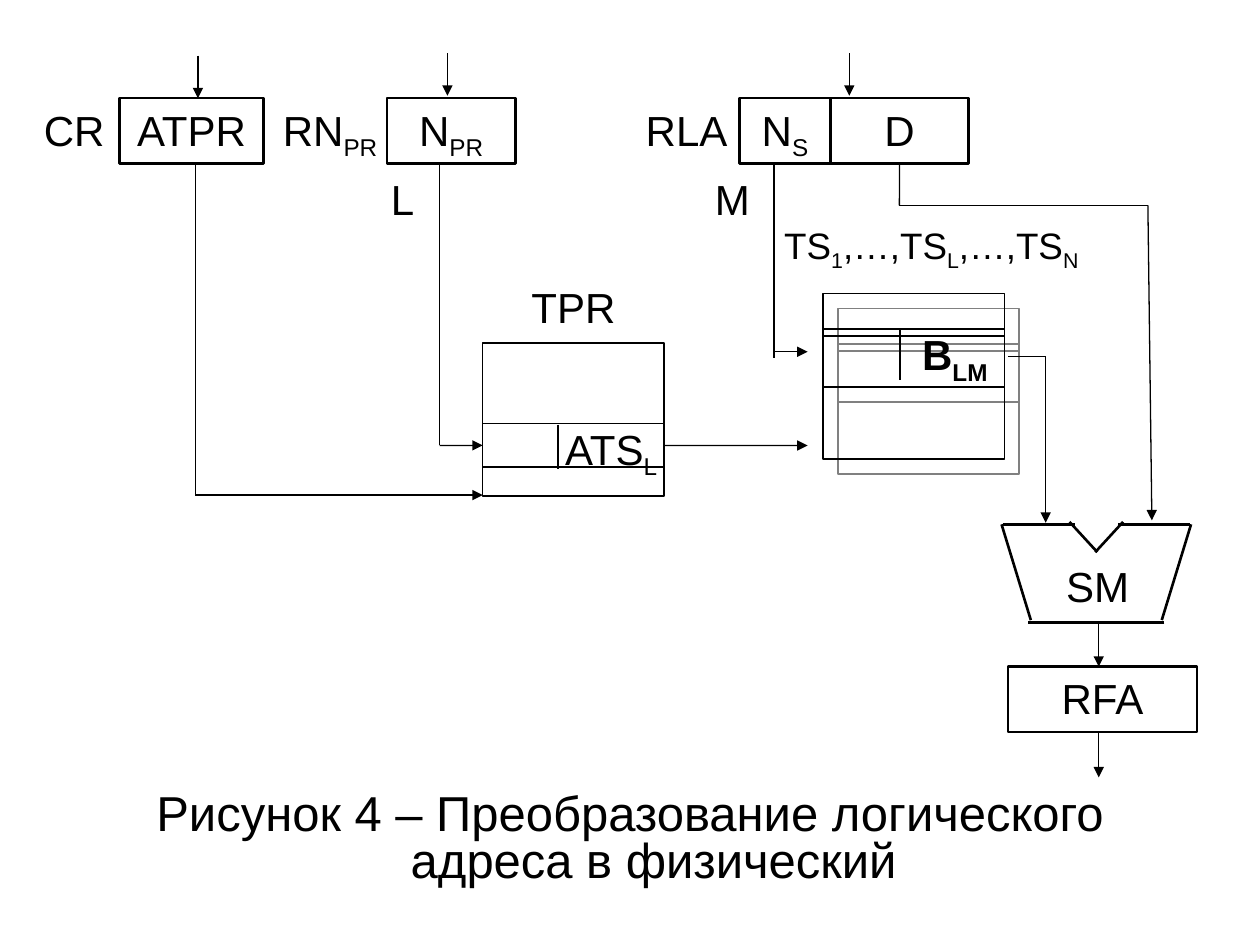
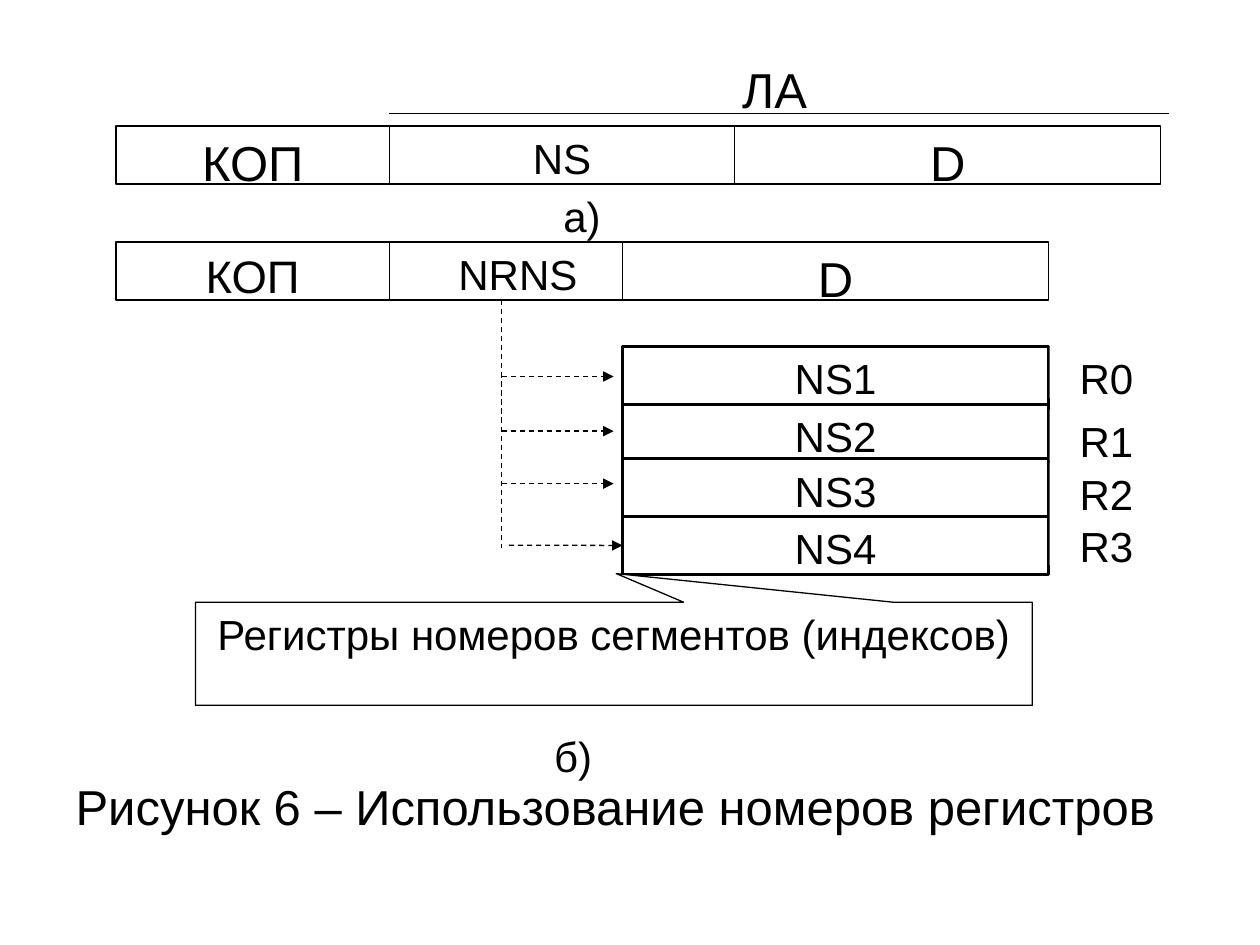
from itertools import pairwise

from lxml import etree
from pptx import Presentation
from pptx.dml.color import RGBColor
from pptx.enum.dml import MSO_LINE
from pptx.enum.shapes import MSO_CONNECTOR, MSO_SHAPE
from pptx.enum.text import MSO_ANCHOR, MSO_AUTO_SIZE, PP_ALIGN
from pptx.oxml.ns import qn
from pptx.util import Cm, Pt

COLORS = {"ink": "000000", "paper": "FFFFFF", "shadow": "808080"}
FONT = "Arial"
RECT = MSO_SHAPE.RECTANGLE
CALLOUT = MSO_SHAPE.RECTANGULAR_CALLOUT
STRAIGHT = MSO_CONNECTOR.STRAIGHT
DASH = MSO_LINE.DASH
TOP = MSO_ANCHOR.TOP
NO_FIT = MSO_AUTO_SIZE.NONE
CENTER, LEFT = PP_ALIGN.CENTER, PP_ALIGN.LEFT
BOTTOM_SIDE, LEFT_SIDE, RIGHT_SIDE = 2, 1, 3
TITLE_ONLY = 5


def rgb(name):
    return RGBColor.from_string(COLORS[name])


class Diagram:
    """Draws black line diagrams on the current slide; lengths are in cm."""

    def __init__(self):
        self.prs = Presentation()
        self.prs.slide_width, self.prs.slide_height = Cm(25.4), Cm(19.05)

    def new_slide(self):
        self.s = self.prs.slides.add_slide(self.prs.slide_layouts[TITLE_ONLY])

    def set_text(self, tf, text, size, align=CENTER, bold=False):
        """Fill in one paragraph; every second piece between bars is a subscript."""
        tf.word_wrap = True
        tf.auto_size = NO_FIT
        tf.vertical_anchor = TOP
        pieces = text.split("|")
        tf.text = pieces[0]
        p = tf.paragraphs[0]
        p.alignment = align
        for piece in pieces[1:]:
            p.add_run().text = piece
        for i, r in enumerate(p.runs):
            r.font.name, r.font.size, r.font.bold = FONT, Pt(size), bold
            r.font.color.rgb = rgb("ink")
            if i % 2:
                r.font._element.set("baseline", "-25000")
        return p

    def caption(self, text, y, h, align, spacing):
        sp = self.s.shapes.title
        sp.left, sp.top, sp.width, sp.height = Cm(1.27), Cm(y), Cm(22.86), Cm(h)
        p = self.set_text(sp.text_frame, text, 28, align)
        p.line_spacing, p.space_before = spacing, Pt(7)
        pPr = p._p.get_or_add_pPr()
        pPr.set("marL", str(Cm(0.95)))
        pPr.set("indent", str(-Cm(0.95)))

    def label(self, text, x, y, w, h=1.17, size=24, bold=False):
        sp = self.s.shapes.add_textbox(Cm(x), Cm(y), Cm(w), Cm(h))
        self.set_text(sp.text_frame, text, size, bold=bold)

    def box(self, x, y, w, h, text="", size=24, line=1.5, fill=None, shape=RECT):
        sp = self.s.shapes.add_shape(shape, Cm(x), Cm(y), Cm(w), Cm(h))
        sp.shadow.inherit = False
        if fill:
            sp.fill.solid()
            sp.fill.fore_color.rgb = rgb(fill)
        else:
            sp.fill.background()
        if line:
            sp.line.color.rgb = rgb("ink")
            sp.line.width = Pt(line)
        else:
            sp.line.fill.background()
        if text:
            self.set_text(sp.text_frame, text, size)
        return sp

    def cast_shadow(self, sp):
        effects = sp._element.spPr.find(qn("a:effectLst"))
        shadow = etree.SubElement(effects, qn("a:outerShdw"), dist=str(Pt(12.1)),
                                  dir="2700000", algn="ctr", rotWithShape="0")
        etree.SubElement(shadow, qn("a:srgbClr"), val=COLORS["shadow"])

    def route(self, *points, arrow=True, width=0.75, dashed=False, start=None, end=None):
        """Draw straight legs through the points; start and end are (shape, side)."""
        legs = []
        for a, b in pairwise(points):
            leg = self.s.shapes.add_connector(STRAIGHT, *(Cm(v) for v in a + b))
            leg.line.color.rgb = rgb("ink")
            leg.line.width = Pt(width)
            if dashed:
                leg.line.dash_style = DASH
            etree.SubElement(leg._element.spPr, qn("a:effectLst"))
            legs.append(leg)
        if start:
            legs[0].begin_connect(*start)
        if end:
            legs[-1].end_connect(*end)
        if arrow:
            etree.SubElement(legs[-1].line._get_or_add_ln(), qn("a:tailEnd"),
                             type="triangle")


def draw_adder(d):
    left_half = [((20.22, 10.57), (21.67, 10.57)), ((20.19, 10.57), (20.78, 12.5)),
                 ((21.56, 10.52), (22.12, 11.13)), ((20.73, 12.55), (22.12, 12.55))]
    for a, b in left_half:
        d.route(a, b, arrow=False, width=1.5)
        d.route(*((44.2 - x, y) for x, y in (a, b)), arrow=False, width=1.5)
    d.label("SM", 20.96, 11.18, 2.34, 1.27)


def address_translation(d):
    d.new_slide()
    d.caption("Рисунок 4 – Преобразование логического адреса в физический",
              15.88, 2.34, CENTER, 0.8)

    registers = {}
    for text, x, w in [("ATPR", 2.41, 2.9), ("N|PR", 7.8, 2.59),
                       ("N|S", 14.91, 1.83), ("D", 16.74, 2.79)]:
        registers[text] = d.box(x, 1.98, w, 1.32, text)
    for text, x, w in [("CR", 0.43, 2.13), ("RN|PR", 5.36, 2.59), ("RLA", 12.62, 2.44)]:
        d.label(text, x, 1.98, w)
    for x, y in [(3.99, 1.12), (9.02, 1.07), (17.12, 1.07)]:
        d.route((x, y), (x, y + 0.86))
    for text, x in [("L", 6.63), ("M", 13.28)]:
        d.label(text, x, 3.38, 2.97, 1.27)

    d.label("TPR", 10.34, 5.56, 2.44)
    d.box(9.73, 6.91, 3.66, 1.63, line=1)
    ats_row = d.box(9.73, 8.54, 3.66, 0.88, line=1)
    d.box(9.73, 9.42, 3.66, 0.58, line=1)
    d.label("ATS|L", 10.95, 8.41, 2.74)
    d.route((11.25, 8.56), (11.25, 9.45), arrow=False)

    d.label("TS|1|,…,TS|L|,…,TS|N", 15.42, 4.37, 6.71, size=21)
    for y, h in [(5.92, 0.86), (6.63, 1.17), (7.8, 1.45)]:
        d.cast_shadow(d.box(16.59, y, 3.66, h, line=1))
    d.label("B|LM", 17.88, 6.5, 2.74, 1.32, bold=True)
    d.route((18.14, 6.63), (18.14, 7.67), arrow=False)

    d.route((3.94, 3.3), (3.94, 9.98), (9.73, 9.98))
    d.route((8.86, 3.3), (8.86, 8.98), (9.73, 8.98), end=(ats_row, LEFT_SIDE))
    d.route((13.39, 8.98), (16.28, 8.98), start=(ats_row, RIGHT_SIDE))
    d.route((15.6, 3.3), (15.6, 7.21), arrow=False)
    d.route((15.6, 7.09), (16.28, 7.09))
    d.route((18.13, 3.3), (18.13, 4.14), (23.14, 4.14), (23.22, 10.49),
            start=(registers["D"], BOTTOM_SIDE))
    d.route((20.32, 7.19), (21.08, 7.19), (21.08, 10.54))

    draw_adder(d)
    d.box(20.32, 13.44, 3.81, 1.32, "RFA")
    for y in (12.55, 14.78):
        d.route((22.15, y), (22.15, y + 0.89))


def register_numbers(d):
    d.new_slide()
    d.caption("Рисунок 6 – Использование номеров регистров", 15.67, 1.35, LEFT, 0.9)

    fields = [("КОП", 2.34, 2.54, 5.51, 28), ("NS", 7.85, 2.54, 6.96, 24),
              ("D", 14.81, 2.54, 8.59, 28), ("КОП", 2.34, 4.88, 5.51, 26),
              ("NRNS", 7.85, 4.88, 5.18, 24), ("D", 12.55, 4.88, 8.59, 28)]
    for text, x, y, w, size in fields:
        d.box(x, y, w, 1.17, text, size, 0.75, "paper")
    d.route((7.85, 2.29), (23.57, 2.29), arrow=False)
    d.box(11.73, 1.07, 7.77, 1.04, "ЛА", 28, None, "paper")

    for i, y in enumerate((6.99, 8.15, 9.25, 10.41), start=1):
        register = d.box(12.55, y, 8.59, 1.17, f"NS{i}", fill="paper")
    for i, y in enumerate((6.99, 8.26, 9.32, 10.36)):
        d.box(21.16, y, 2.29, 1.04, f"R{i}", line=None, fill="paper")

    d.route((10.11, 6.05), (10.11, 11.05), arrow=False, dashed=True)
    for y in (7.59, 8.69, 9.75):
        d.route((10.11, y), (12.37, y), dashed=True)
    d.route((10.26, 10.99), (12.55, 10.99), dashed=True, end=(register, LEFT_SIDE))

    d.label("а)", 7.85, 3.71, 7.77, 1.04)
    d.label("б)", 7.67, 14.61, 7.77, 1.04)
    sp = d.box(3.94, 12.14, 16.87, 2.08, "Регистры номеров сегментов (индексов)",
               line=0.75, fill="paper", shape=CALLOUT)
    sp.adjustments[0], sp.adjustments[1] = 0.003, -0.777


def main():
    d = Diagram()
    address_translation(d)
    register_numbers(d)
    d.prs.save("out.pptx")


if __name__ == "__main__":
    main()
